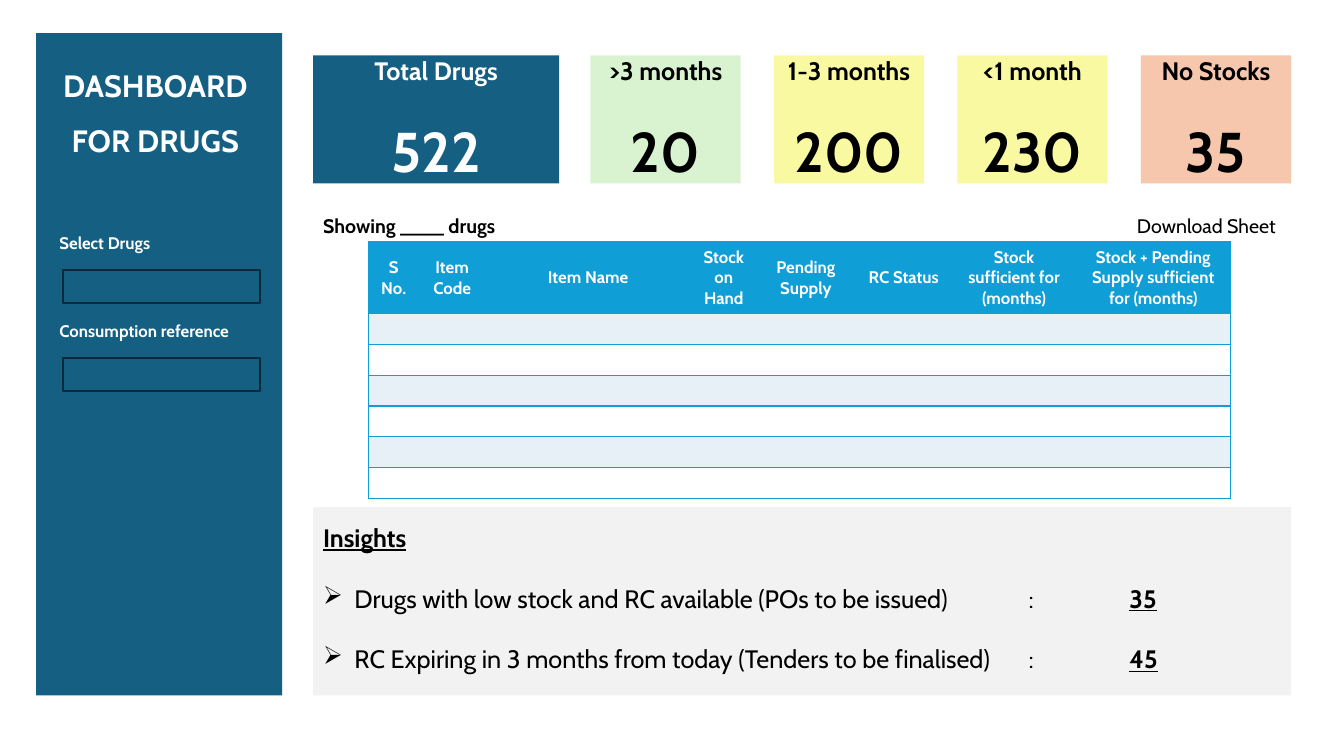
import dataclasses
import typing

import lxml.etree
import pptx
import pptx.dml.color
import pptx.enum.shapes
import pptx.enum.text
import pptx.oxml.ns
import pptx.util

RGB = pptx.dml.color.RGBColor
NAVY = RGB(0x15, 0x60, 0x82)
DARK = RGB(0x09, 0x2A, 0x39)
BLUE = RGB(0x0F, 0x9E, 0xD5)
PALE = RGB(0xE7, 0xF0, 0xF7)
GREEN = RGB(0xD9, 0xF2, 0xD0)
YELLOW = RGB(0xF9, 0xF9, 0xA1)
ORANGE = RGB(0xF6, 0xC6, 0xAD)
GREY = RGB(0xF2, 0xF2, 0xF2)
WHITE = RGB(0xFF, 0xFF, 0xFF)
BLACK = RGB(0, 0, 0)
FONT = "Cabin"
CENTER = pptx.enum.text.PP_ALIGN.CENTER
LEFT = pptx.enum.text.PP_ALIGN.LEFT
MIDDLE = pptx.enum.text.MSO_ANCHOR.MIDDLE
TOP = pptx.enum.text.MSO_ANCHOR.TOP
WIDTH = pptx.util.Inches(13.33)
HEIGHT = pptx.util.Inches(7.5)
MAIN_LEFT, MAIN_WIDTH = 23.3, 72.77
LABEL_LEFT, LABEL_WIDTH = 3.68, 15.75
FIELD_HEIGHT = 4.4
CARD_LEFT, CARD_WIDTH, CARD_PITCH = 43.93, 11.18, 13.65


@dataclasses.dataclass
class Box:
    """Left, top, width and height in percent of the slide."""
    left: float
    top: float
    width: float
    height: float

    def emu(self) -> tuple[int, int, int, int]:
        return across(self.left), down(self.top), across(self.width), down(self.height)


@dataclasses.dataclass
class Card:
    title: str
    value: str
    left: float
    width: float
    fill: RGB
    color: RGB = BLACK


@dataclasses.dataclass
class Filter:
    label: str
    label_top: float
    label_height: float
    field_top: float


@dataclasses.dataclass
class Column:
    heading: str
    width: float


CARDS = [Card("Total Drugs", "522", MAIN_LEFT, 18.3, NAVY, WHITE)] + [
    Card(title, value, CARD_LEFT + i * CARD_PITCH, CARD_WIDTH, fill)
    for i, (title, value, fill) in enumerate([
        (">3 months", "20", GREEN),
        ("1-3 months", "200", YELLOW),
        ("<1 month", "230", YELLOW),
        ("No Stocks", "35", ORANGE),
    ])
]
FILTERS = [
    Filter("Select Drugs", 28.53, 7.2, 35.73),
    Filter("Consumption reference", 41.55, FIELD_HEIGHT, 47.33),
]
COLUMNS = [
    Column("S No.", 3.75),
    Column("Item Code", 4.95),
    Column("Item Name", 15.3),
    Column("Stock on Hand", 4.88),
    Column("Pending Supply", 7.35),
    Column("RC Status", 7.2),
    Column("Stock sufficient for (months)", 9.23),
    Column("Stock + Pending Supply sufficient for (months)", 11.48),
]
BODY_ROWS, HEADER_HEIGHT, ROW_HEIGHT = 6, 9.47, 4.04
INSIGHTS = [
    ("Drugs with low stock and RC available (POs to be issued)", "35"),
    ("RC Expiring in 3 months from today (Tenders to be finalised)", "45"),
]


def across(percent: float) -> int:
    return round(WIDTH * percent / 100)


def down(percent: float) -> int:
    return round(HEIGHT * percent / 100)


def write(p: typing.Any, text: str, *, size: float = 18, color: RGB = BLACK,
          bold: bool = True, underline: bool = False) -> None:
    r = p.add_run()
    r.text = text
    r.font.name = FONT
    r.font.size = pptx.util.Pt(size)
    r.font.color.rgb = color
    r.font.bold = bold
    r.font.underline = underline


def add_node(parent: typing.Any, tag: str, **attrs: str) -> typing.Any:
    return lxml.etree.SubElement(parent, pptx.oxml.ns.qn(tag), attrs)


def add_tabs(p: typing.Any, align: str, *stops: float) -> None:
    tabs = add_node(p._p.get_or_add_pPr(), "a:tabLst")
    for stop in stops:
        add_node(tabs, "a:tab", pos=str(across(stop)), algn=align)


def add_rect(slide: typing.Any, box: Box, fill: RGB, line: RGB | None = None,
             align: typing.Any = CENTER, anchor: typing.Any = MIDDLE) -> pptx.text.text.TextFrame:
    sp = slide.shapes.add_shape(pptx.enum.shapes.MSO_SHAPE.RECTANGLE, *box.emu())
    sp.shadow.inherit = False
    sp.fill.solid()
    sp.fill.fore_color.rgb = fill
    if line is None:
        sp.line.fill.background()
    else:
        sp.line.color.rgb = line
        sp.line.width = pptx.util.Pt(1.5)
    tf = sp.text_frame
    tf.word_wrap = True
    tf.vertical_anchor = anchor
    tf.paragraphs[0].alignment = align
    return tf


def add_card(slide: typing.Any, card: Card) -> None:
    tf = add_rect(slide, Box(card.left, 7.33, card.width, 16.93), card.fill)
    write(tf.paragraphs[0], card.title, color=card.color)
    p = tf.add_paragraph()
    p.alignment = CENTER
    p.space_before = pptx.util.Pt(22)
    write(p, card.value, size=40, color=card.color)


def add_filter(slide: typing.Any, item: Filter) -> None:
    tf = add_rect(slide, Box(LABEL_LEFT, item.label_top, LABEL_WIDTH, item.label_height),
                  NAVY, align=LEFT)
    write(tf.paragraphs[0], item.label, size=12, color=WHITE)
    add_rect(slide, Box(4.68, item.field_top, 14.7, FIELD_HEIGHT), NAVY, DARK)


def style_cell(cell: typing.Any, fill: RGB, first: bool, last: bool) -> None:
    tcPr = cell._tc.get_or_add_tcPr()
    for tag, drawn in (("a:lnL", first), ("a:lnR", last), ("a:lnT", True), ("a:lnB", True)):
        ln = add_node(tcPr, tag, w=str(pptx.util.Pt(1)))
        if drawn:
            add_node(add_node(ln, "a:solidFill"), "a:srgbClr", val=str(BLUE))
        else:
            add_node(ln, "a:noFill")
    cell.fill.solid()
    cell.fill.fore_color.rgb = fill
    cell.vertical_anchor = MIDDLE


def add_stock_table(slide: typing.Any) -> None:
    box = Box(27.42, 32, sum(c.width for c in COLUMNS), HEADER_HEIGHT + BODY_ROWS * ROW_HEIGHT)
    table = slide.shapes.add_table(BODY_ROWS + 1, len(COLUMNS), *box.emu()).table
    for i, row in enumerate(table.rows):
        row.height = down(ROW_HEIGHT if i else HEADER_HEIGHT)
        fill = BLUE if i == 0 else PALE if i % 2 else WHITE
        for j, (cell, column) in enumerate(zip(row.cells, COLUMNS)):
            style_cell(cell, fill, j == 0, j == len(COLUMNS) - 1)
            if i:
                cell.margin_top = cell.margin_bottom = 0
            else:
                table.columns[j].width = across(column.width)
                p = cell.text_frame.paragraphs[0]
                p.alignment = CENTER
                write(p, column.heading, size=12, color=WHITE)


def add_insights(slide: typing.Any) -> None:
    tf = add_rect(slide, Box(MAIN_LEFT, 67.07, MAIN_WIDTH, 24.93), GREY, align=LEFT, anchor=TOP)
    tf.margin_top = down(2)
    write(tf.paragraphs[0], "Insights", underline=True)
    for text, value in INSIGHTS:
        p = tf.add_paragraph()
        p.alignment = LEFT
        p.space_before = pptx.util.Pt(21.8)
        pPr = p._p.get_or_add_pPr()
        pPr.set("marL", str(across(2.33)))
        pPr.set("indent", str(-across(2.33)))
        add_node(pPr, "a:buChar", char="➢")
        add_tabs(p, "l", 52.5, 60)
        write(p, f"{text}\t:\t", bold=False)
        write(p, value, underline=True)


def add_caption(slide: typing.Any) -> None:
    tf = slide.shapes.add_textbox(*Box(MAIN_LEFT, 27.6, MAIN_WIDTH, 5.33).emu()).text_frame
    tf.word_wrap = True
    p = tf.paragraphs[0]
    add_tabs(p, "r", 70.9)
    write(p, "Showing ____ drugs\t", size=14)
    write(p, "Download Sheet", size=14, bold=False)


def main() -> None:
    prs = pptx.Presentation()
    prs.slide_width, prs.slide_height = WIDTH, HEIGHT
    slide = prs.slides.add_slide(prs.slide_layouts[6])
    add_rect(slide, Box(2.7, 4.4, 18.3, 87.6), NAVY)
    for card in CARDS:
        add_card(slide, card)
    for item in FILTERS:
        add_filter(slide, item)
    add_insights(slide)
    add_stock_table(slide)
    title = add_rect(slide, Box(LABEL_LEFT, 7.33, LABEL_WIDTH, 12.67), NAVY).paragraphs[0]
    title.line_spacing = 1.5
    write(title, "DASHBOARD FOR DRUGS", size=22, color=WHITE)
    add_caption(slide)
    prs.save("out.pptx")


if __name__ == "__main__":
    main()
